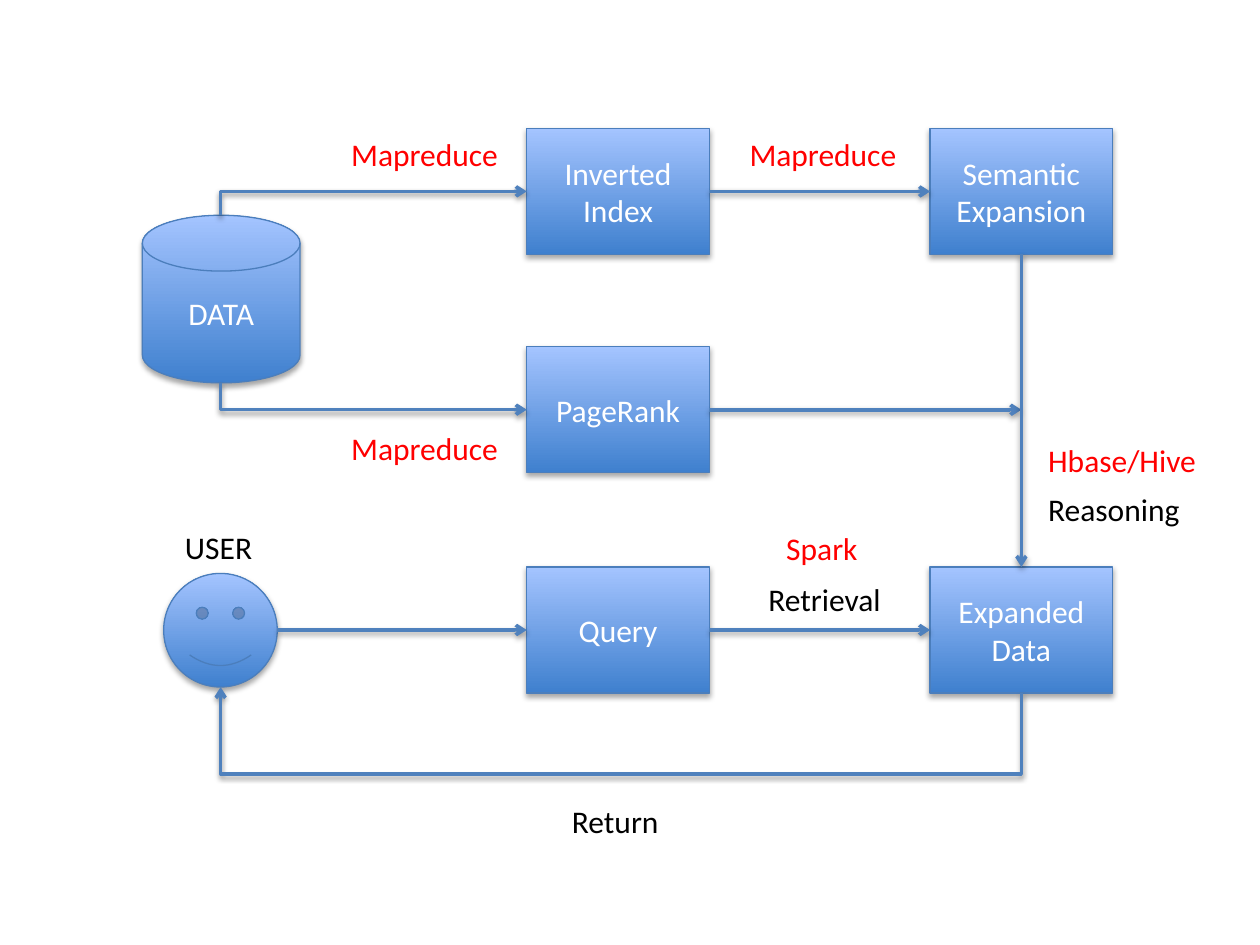
from dataclasses import dataclass
from lxml.etree import SubElement as Sub
from pptx import Presentation
from pptx.dml.color import RGBColor as RGB
from pptx.enum.shapes import MSO_CONNECTOR as Con, MSO_SHAPE as Kind
from pptx.enum.text import MSO_ANCHOR as Anchor, MSO_AUTO_SIZE as Auto, PP_ALIGN as Align
from pptx.oxml.ns import qn
from pptx.util import Cm, Pt


@dataclass(frozen=True)
class Theme:
    font: str = "Calibri"
    size: float = 18
    dark: str = "3F80CE"
    light: str = "A4C4FF"
    edge: str = "4B7EBC"
    wire: str = "4F81BD"
    white: str = "FFFFFF"
    black: str = "000000"
    red: str = "FF0000"
    thin: float = 0.75
    thick: float = 2


T = Theme()
WIDE, TALL = 3.68, 2.54
MID, RIGHT = 10.62, 18.75
ROWS = 2.59, 6.99, 11.43
TOP, CORE, LOW = (y + TALL / 2 for y in ROWS)
USER, DOWN = 4.45, RIGHT + WIDE / 2


def apply(item, form):
    for key, val in form.items():
        setattr(item, key, val)


def shade(item, alpha, dist):
    fx = Sub(item.element.spPr, qn("a:effectLst"))
    cast = Sub(fx, qn("a:outerShdw"), blurRad="40000", dist=str(dist),
               dir="5400000", rotWithShape="0")
    tint = Sub(cast, qn("a:srgbClr"), val=T.black)
    Sub(tint, qn("a:alpha"), val=str(alpha * 1000))


def write(frame, text, hue, align):
    para = frame.paragraphs[0]
    para.alignment = align
    run = para.add_run()
    run.text = text
    apply(run.font, {"name": T.font, "size": Pt(T.size)})
    run.font.color.rgb = RGB.from_string(hue)


def node(page, kind, x, y, wide, tall, text=""):
    item = page.shapes.add_shape(kind, Cm(x), Cm(y), Cm(wide), Cm(tall))
    item.fill.gradient()
    item.fill.gradient_angle = 90
    for stop, hue in zip(item.fill.gradient_stops, (T.dark, T.light)):
        stop.color.rgb = RGB.from_string(hue)
    item.line.color.rgb = RGB.from_string(T.edge)
    item.line.width = Pt(T.thin)
    shade(item, 35, 23000)
    if text:
        apply(item.text_frame, {"word_wrap": True, "vertical_anchor": Anchor.MIDDLE})
        write(item.text_frame, text, T.white, Align.CENTER)


def label(page, x, y, wide, text, hue):
    box = page.shapes.add_textbox(Cm(x), Cm(y), Cm(wide), Cm(1.02))
    apply(box.text_frame, {"word_wrap": False, "auto_size": Auto.SHAPE_TO_FIT_TEXT})
    write(box.text_frame, text, hue, Align.LEFT)


def arrow(page, x1, y1, x2, y2, kind=Con.STRAIGHT):
    wire = page.shapes.add_connector(kind, Cm(x1), Cm(y1), Cm(x2), Cm(y2))
    wire.line.color.rgb = RGB.from_string(T.wire)
    wire.line.width = Pt(T.thick)
    Sub(wire.element.spPr.find(qn("a:ln")), qn("a:tailEnd"), type="arrow")
    shade(wire, 38, 20000)
    return wire


def bend(page, x1, y1, x2, y2, turn, flip, form, dip=0):
    long, short = abs(x2 - x1), abs(y2 - y1)
    left = (x1 + x2 - short) / 2
    top = (y1 + y2 - long) / 2
    xs, ys = (left, left + short), (top, top + long)
    if "h" in flip:
        xs = xs[::-1]
    if "v" in flip:
        ys = ys[::-1]
    wire = arrow(page, xs[0], ys[0], xs[1], ys[1], Con.ELBOW)
    props = wire.element.spPr
    props.find(qn("a:xfrm")).set("rot", str(turn * 60000))
    geom = props.find(qn("a:prstGeom"))
    geom.set("prst", form)
    if dip:
        rate = round(-dip / short * 100000)
        Sub(geom.find(qn("a:avLst")), qn("a:gd"), name="adj1", fmla=f"val {rate}")


def main():
    deck = Presentation()
    apply(deck, {"slide_width": Cm(25.4), "slide_height": Cm(19.05)})
    page = deck.slides.add_slide(deck.slide_layouts[6])

    node(page, Kind.FLOWCHART_MAGNETIC_DISK, 2.87, 4.34, 3.18, 3.38, "DATA")
    for x, row, text in (
        (MID, 0, "Inverted Index"), (MID, 1, "PageRank"), (MID, 2, "Query"),
        (RIGHT, 0, "Semantic Expansion"), (RIGHT, 2, "Expanded Data"),
    ):
        node(page, Kind.RECTANGLE, x, ROWS[row], WIDE, TALL, text)
    node(page, Kind.SMILEY_FACE, 3.3, 11.56, 2.29, 2.29)

    for ends in (
        (MID + WIDE, TOP, RIGHT, TOP), (MID + WIDE, CORE, DOWN, CORE),
        (MID + WIDE, LOW, RIGHT, LOW), (5.59, LOW, MID, LOW),
        (DOWN, ROWS[0] + TALL, DOWN, ROWS[2]),
    ):
        arrow(page, *ends)
    bend(page, USER, 4.34, MID, TOP, 90, "hv", "bentConnector2")
    bend(page, USER, 7.72, MID, CORE, 270, "h", "bentConnector2")
    bend(page, DOWN, ROWS[2] + TALL, USER, 13.85, 90, "h", "bentConnector3", 1.63)

    for x, y, wide, text, hue in (
        (3.48, 10.52, 1.9, "USER", T.black),
        (11.28, 16.05, 2.29, "Return", T.black),
        (15.24, 11.56, 2.82, "Retrieval", T.black),
        (20.88, 9.75, 3.2, "Reasoning", T.black),
        (6.83, 2.59, 3.5, "Mapreduce", T.red),
        (6.83, 8.53, 3.5, "Mapreduce", T.red),
        (14.86, 2.59, 3.5, "Mapreduce", T.red),
        (15.6, 10.54, 1.98, "Spark", T.red),
        (20.88, 8.76, 3.53, "Hbase/Hive", T.red),
    ):
        label(page, x, y, wide, text, hue)
    deck.save("out.pptx")


main()
